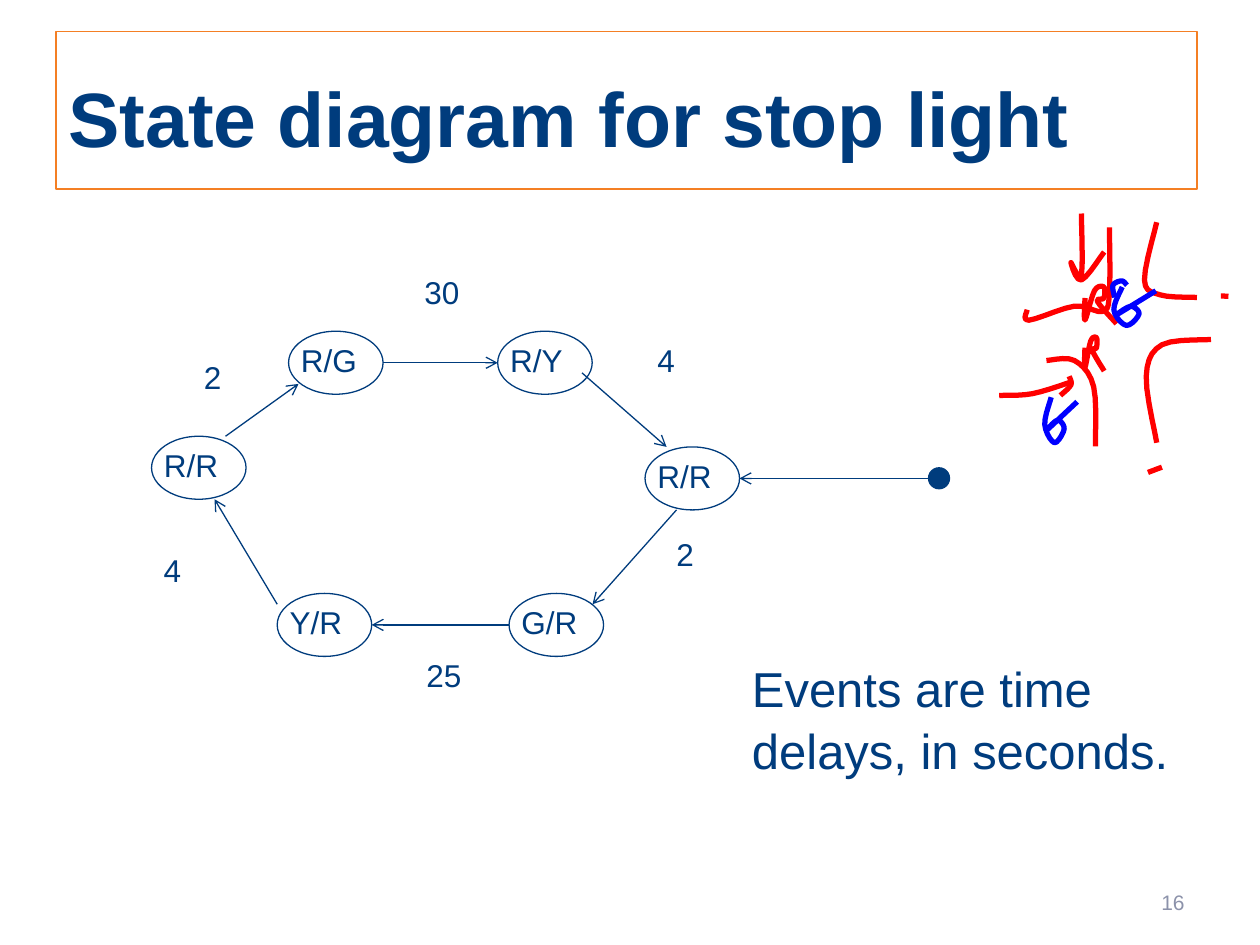
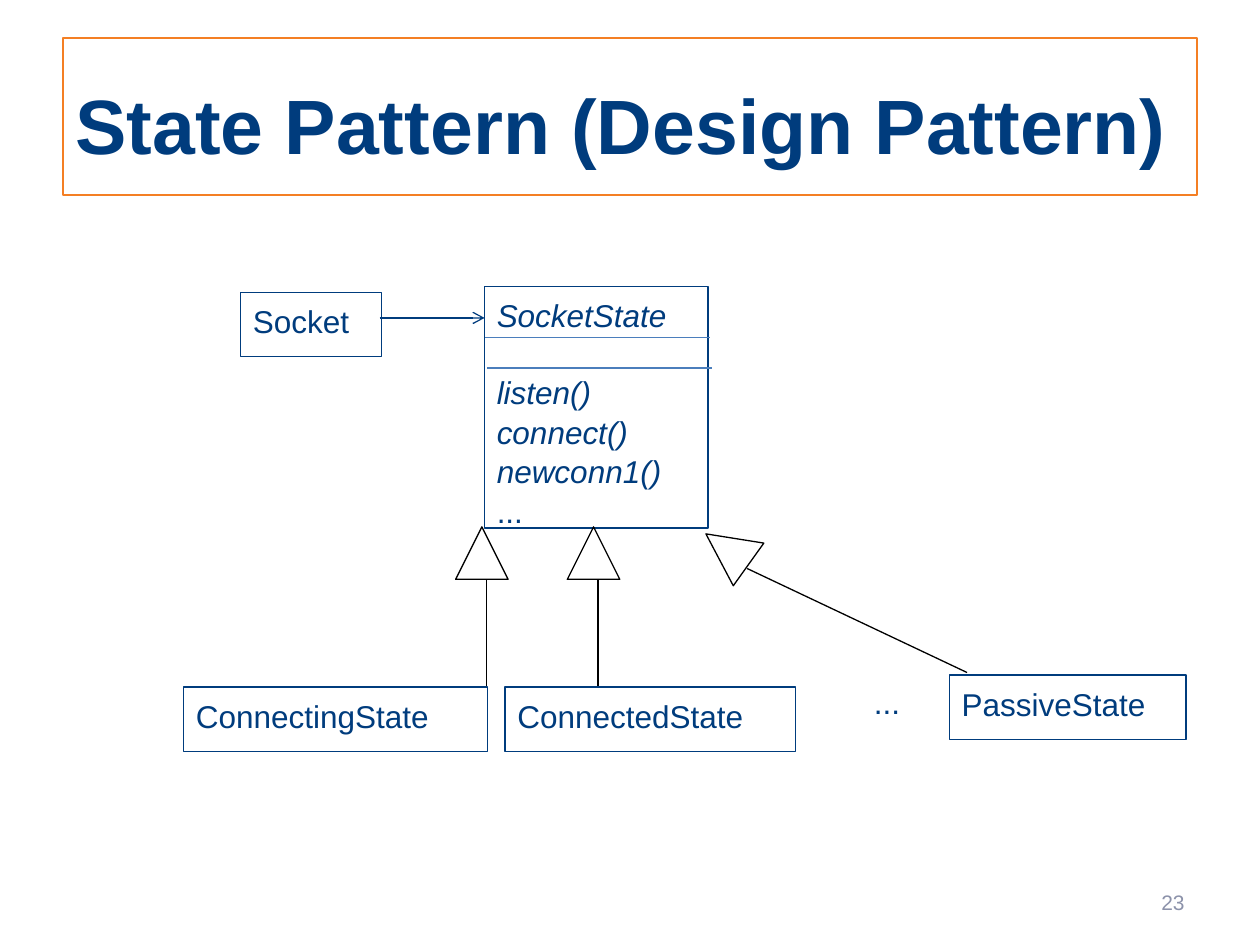
"""Build two slides on state diagrams and the State design pattern."""
from typing import NamedTuple

from lxml.etree import SubElement
from pptx import Presentation
from pptx.dml.color import RGBColor
from pptx.enum.shapes import MSO_CONNECTOR as Link, MSO_SHAPE as Preset
from pptx.enum.text import MSO_ANCHOR as Anchor, PP_ALIGN as Align
from pptx.oxml.ns import qn
from pptx.util import Pt

COLORS = {
    "navy": "003C7D", "orange": "F47F24", "grey": "8C92AA", "steel": "4B7EBC",
    "white": "FFFFFF", "black": "000000", "red": "FF0000", "blue": "0000FF",
}
FRAME_FORMAT = {
    "word_wrap": True, "margin_left": Pt(7.2), "margin_right": Pt(7.2),
    "margin_top": Pt(4.6), "margin_bottom": Pt(3.6), "vertical_anchor": Anchor.TOP,
}
PARAGRAPH_FORMAT = {"alignment": Align.LEFT, "line_spacing": 1.05}
FONT_FORMAT = {"name": "Arial", "size": Pt(18), "bold": False, "italic": False}
TITLE_FRAME = {"vertical_anchor": Anchor.MIDDLE, "margin_top": Pt(8.6)}
TITLE_FONT = {"size": Pt(44), "bold": True}


class Box(NamedTuple):
    """Position and size in points."""
    left: float
    top: float
    width: float
    height: float


class Label(NamedTuple):
    """Text with its place."""
    text: str
    box: Box


class Edge(NamedTuple):
    """Straight line between two points."""
    x1: float
    y1: float
    x2: float
    y2: float
    color: str = "navy"
    arrow: bool = True


class Letter(NamedTuple):
    """Handwritten signal letter with its place."""
    color: str
    outline: list
    box: Box


def state(text: str, left: float, top: float) -> Label:
    """Return a state of the common size."""
    return Label(text, Box(left, top, 54, 36))


def delay(text: str, left: float, top: float) -> Label:
    """Return a delay caption of the common size."""
    return Label(text, Box(left, top, 38.2 if len(text) > 1 else 26.6, 36))


def class_box(text: str, left: float, top: float, width: float) -> Label:
    """Return a one-line class of the common height."""
    return Label(text, Box(left, top, width, 36.8))


STATES = [
    state("Y/R", 158.4, 339.1), state("G/R", 290.9, 339.1), state("R/R", 368.6, 255.4),
    state("R/G", 164.9, 189.3), state("R/Y", 284.4, 189.3), state("R/R", 86.6, 249.3),
]
DELAYS = [
    delay("2", 379.4, 300.2), delay("25", 236.6, 369.2), delay("4", 86.4, 309.3),
    delay("2", 109.4, 198.8), delay("30", 235.4, 150.6), delay("4", 368.6, 189.3),
]
TRANSITIONS = [
    Edge(218.9, 207.3, 284.4, 207.3), Edge(332.6, 213.1, 380.9, 255.4),
    Edge(386.6, 291.4, 338.6, 345.3), Edge(290.9, 357.1, 212.4, 357.1),
    Edge(158.4, 345.3, 122.6, 285.3), Edge(128.9, 249.3, 170.6, 219.4),
    Edge(530.6, 273.4, 422.6, 273.4),
]
ROADS = [
    [(664, 267), (656, 270)],
    [(634, 130), (634, 168), (630, 178), (614, 175), (588, 183), (587, 177)],
    [(661, 127), (654, 160), (663, 168.5), (684, 170)],
    [(697.7, 169.2), (702, 169.3)],
    [(598, 206), (614, 206), (625, 221), (626, 255)],
    [(692, 194), (664, 197), (655, 215), (661, 253)],
    [(618, 122), (618, 157), (612, 150), (618, 160), (631, 144)],
    [(571, 226), (590, 225), (613, 218)],
    [(611, 215), (612, 220), (606, 226)],
]
RED_LETTER = [(0, 3), (0, 9), (3, 1), (6, 0), (6, 3), (4, 4), (10, 10)]
GREEN_LETTER = [(2, 0), (0, 6), (3, 10), (6, 7), (4, 5), (1, 7), (10, 1)]
GREEN_BAR = [(644, 163), (641, 160.5), (636, 163), (637, 170)]
SIGNALS = [
    Letter("red", RED_LETTER, Box(620, 193, 11, 19)),
    Letter("red", RED_LETTER, Box(620, 164, 18, 21)),
    Letter("blue", GREEN_LETTER, Box(636.5, 164, 24, 22)),
    Letter("blue", GREEN_LETTER, Box(597, 227, 18.5, 26)),
]
CLASSES = [
    class_box("Socket", 137.4, 167.1, 80.6), class_box("PassiveState", 542.4, 385.7, 135.4),
    class_box("ConnectingState", 104.9, 392.6, 173.7),
    class_box("ConnectedState", 288.5, 392.6, 165.9),
]
RELATIONS = [
    Edge(216.9, 181.7, 276.9, 181.7),
    Edge(277.2, 192.8, 405.6, 192.8, "steel", False),
    Edge(278.4, 210.3, 406.8, 210.3, "steel", False),
    Edge(277.9, 331.7, 277.9, 391.9, "black", False),
    Edge(341.7, 331.7, 341.7, 391.9, "black", False),
    Edge(427, 324.9, 552.6, 384.3, "black", False),
]
INHERITANCE_HEADS = [(260.4, 301.1, 0), (324.2, 301.1, 0), (400.6, 298.8, 305.6)]


def apply_format(target, values: dict) -> None:
    """Set every attribute named in values."""
    for attribute, value in values.items():
        setattr(target, attribute, value)


def paint(shape, line: str, width: float = 0.75, fill: str | None = None) -> None:
    """Set the outline and fill, without shadow."""
    shape.shadow.inherit = False
    shape.line.color.rgb = RGBColor.from_string(COLORS[line])
    shape.line.width = Pt(width)
    if fill:
        shape.fill.solid()
        shape.fill.fore_color.rgb = RGBColor.from_string(COLORS[fill])
    else:
        shape.fill.background()


def write(shape, lines: list[str], color: str = "navy", font: dict | None = None,
          frame: dict | None = None, paragraph: dict | None = None) -> list:
    """Fill a shape with one paragraph per line and return the paragraphs."""
    body = shape.text_frame
    apply_format(body, FRAME_FORMAT | (frame or {}))
    body.text = "\n".join(lines)
    for row in body.paragraphs:
        apply_format(row, PARAGRAPH_FORMAT | (paragraph or {}))
        run_font = row.runs[0].font
        apply_format(run_font, FONT_FORMAT | (font or {}))
        run_font.color.rgb = RGBColor.from_string(COLORS[color])
    return list(body.paragraphs)


def add_outline(slide, preset, box: Box, line: str = "navy", width: float = 0.75,
                fill: str | None = None):
    """Add a painted preset shape."""
    shape = slide.shapes.add_shape(preset, *map(Pt, box))
    paint(shape, line, width, fill)
    return shape


def add_label(slide, label: Label, **style) -> None:
    """Add a text box."""
    write(slide.shapes.add_textbox(*map(Pt, label.box)), [label.text], **style)


def add_edge(slide, edge: Edge) -> None:
    """Add a straight connector with an optional arrowhead."""
    connector = slide.shapes.add_connector(Link.STRAIGHT, *map(Pt, edge[:4]))
    connector.line.color.rgb = RGBColor.from_string(COLORS[edge.color])
    connector.line.width = Pt(0.75)
    properties = connector._element.spPr
    if edge.arrow:
        SubElement(properties.find(qn("a:ln")), qn("a:tailEnd"), type="arrow")
    SubElement(properties, qn("a:effectLst"))


def smooth(points: list, steps: int = 5) -> list:
    """Return points on a Catmull-Rom curve through the given points."""
    padded = [points[0], *points, points[-1]]
    curve = [points[0]]
    for before, start, end, after in zip(padded, padded[1:], padded[2:], padded[3:]):
        for step in range(1, steps + 1):
            t = step / steps
            curve.append(tuple(
                b + t * ((c - a) + t * (2 * a - 5 * b + 4 * c - d
                                        + t * (3 * (b - c) + d - a))) / 2
                for a, b, c, d in zip(before, start, end, after)))
    return curve


def add_stroke(slide, color: str, points: list) -> None:
    """Add an open, smooth pen stroke."""
    start, *rest = [(Pt(x), Pt(y)) for x, y in smooth(points)]
    builder = slide.shapes.build_freeform(*start)
    builder.add_line_segments(rest, close=False)
    paint(builder.convert_to_shape(), color, 3)


def add_letter(slide, letter: Letter) -> None:
    """Add a handwritten letter scaled into its box."""
    left, top, width, height = letter.box
    add_stroke(slide, letter.color, [
        (left + x * width / 10, top + y * height / 10) for x, y in letter.outline])


def add_page(deck, title: Label, number: str):
    """Add a blank slide with a framed title and a page number."""
    slide = deck.slides.add_slide(deck.slide_layouts[6])
    heading = add_outline(slide, Preset.RECTANGLE, title.box, "orange", 1)
    write(heading, [title.text], font=TITLE_FONT, frame=TITLE_FRAME)
    add_label(slide, Label(number, Box(516, 500.5, 168, 28.8)), color="grey",
              font={"size": Pt(12)}, frame={"vertical_anchor": Anchor.MIDDLE},
              paragraph={"alignment": Align.RIGHT})
    return slide


def build_stop_light(deck) -> None:
    """Draw the stop light states and the crossing sketch."""
    slide = add_page(deck, Label("State diagram for stop light", Box(32, 18, 652, 90)), "16")
    for light in STATES:
        add_outline(slide, Preset.OVAL, light.box, fill="white")
        add_label(slide, light)
    add_outline(slide, Preset.OVAL, Box(530.6, 267.3, 12, 12), fill="navy")
    for transition in TRANSITIONS:
        add_edge(slide, transition)
    for caption in DELAYS:
        add_label(slide, caption)
    add_label(slide, Label("Events are time delays, in seconds.", Box(422.6, 370, 279.4, 75)),
              font={"size": Pt(28)})
    for road in ROADS:
        add_stroke(slide, "red", road)
    for signal in SIGNALS:
        add_letter(slide, signal)
    add_stroke(slide, "blue", GREEN_BAR)


def build_state_pattern(deck) -> None:
    """Draw the class diagram of the socket states."""
    slide = add_page(deck, Label("State Pattern (Design Pattern)", Box(36, 21.6, 648, 90)), "23")
    for entry in CLASSES:
        write(add_outline(slide, Preset.RECTANGLE, entry.box), [entry.text])
    parent = add_outline(slide, Preset.RECTANGLE, Box(276.8, 163.6, 127.9, 138.2))
    rows = write(parent, ["SocketState", "listen()", "connect()", "newconn1()", "..."],
                 font={"italic": True})
    rows[1].space_before = Pt(21.2)
    rows[-1].runs[0].font.italic = False
    add_label(slide, Label("...", Box(492.3, 384.8, 32.4, 36)))
    for left, top, angle in INHERITANCE_HEADS:
        head = add_outline(slide, Preset.ISOSCELES_TRIANGLE, Box(left, top, 30, 30), "black")
        head.rotation = angle
    for relation in RELATIONS:
        add_edge(slide, relation)


def main() -> None:
    """Build and save the deck."""
    deck = Presentation()
    apply_format(deck, {"slide_width": Pt(720), "slide_height": Pt(540)})
    build_stop_light(deck)
    build_state_pattern(deck)
    deck.save("out.pptx")


if __name__ == "__main__":
    main()
